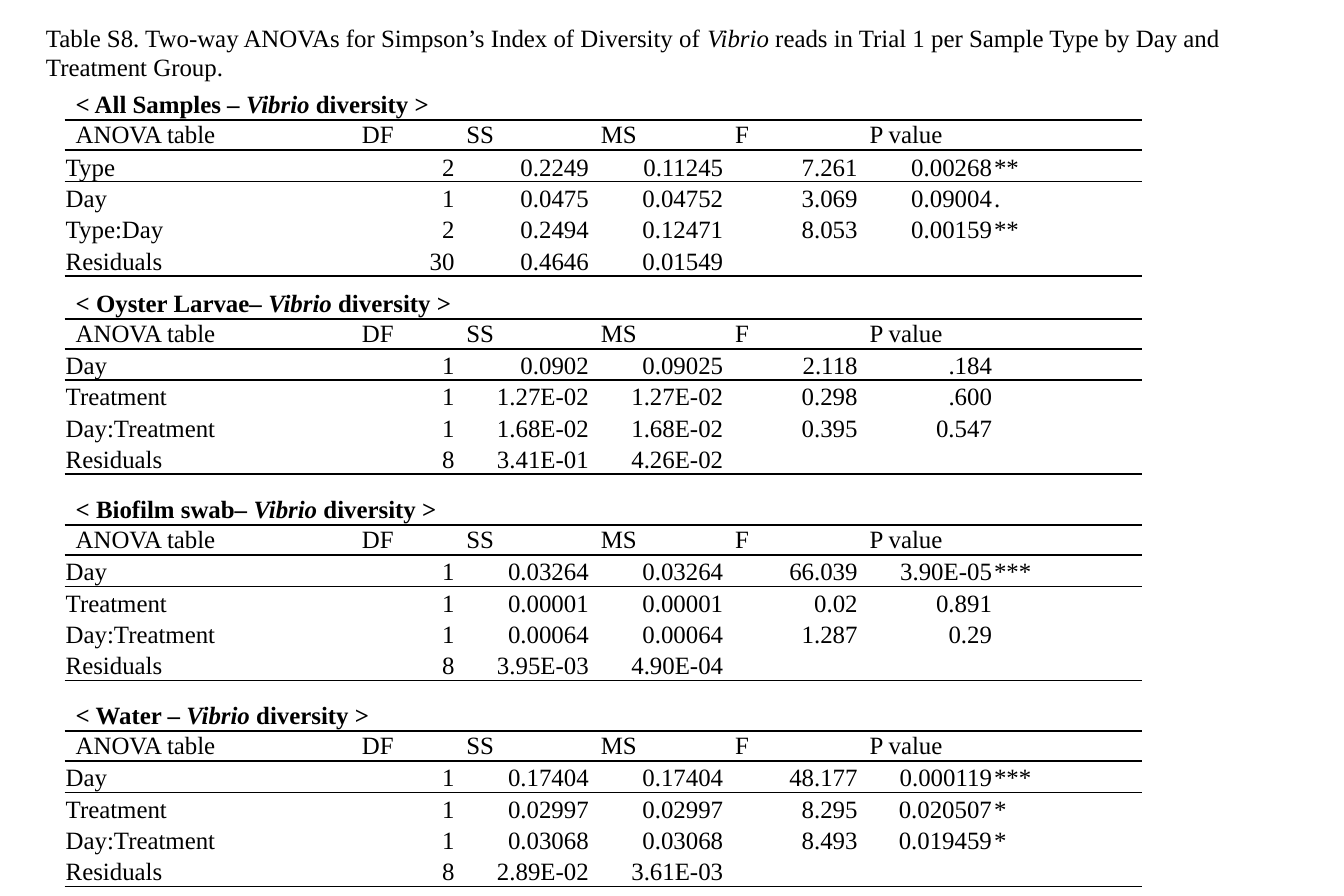
from lxml import etree
from pptx import Presentation
from pptx.dml.color import RGBColor
from pptx.enum.text import MSO_ANCHOR, MSO_AUTO_SIZE, PP_ALIGN
from pptx.oxml.ns import qn
from pptx.util import Pt

MIDDLE, BOTTOM = MSO_ANCHOR.MIDDLE, MSO_ANCHOR.BOTTOM
LEFT, RIGHT = PP_ALIGN.LEFT, PP_ALIGN.RIGHT
FIT_SHAPE = MSO_AUTO_SIZE.SHAPE_TO_FIT_TEXT

COLORS = {"ink": "000000"}
PLAIN_TABLE_STYLE = "{2D5ABB26-0587-4C30-8999-92F81FD0307C}"
TABLE_LEFT = 31.2
COLUMN_WIDTHS = [138, 50.4, 64.8, 64.8, 64.8, 64.8, 72]
ROW_HEIGHTS = [14.4] * 2 + [15.12] * 4
HEADINGS = ["ANOVA table", "DF", "SS", "MS", "F", "P value", ""]
LABEL_FORMAT = {"vertical_anchor": MIDDLE, "margin_left": Pt(5.3),
                "margin_right": Pt(5.3), "margin_top": 0, "margin_bottom": 0}
VALUE_FORMAT = {"vertical_anchor": BOTTOM, "margin_left": Pt(0.5),
                "margin_right": Pt(0.5), "margin_top": Pt(0.5), "margin_bottom": 0}

CAPTION = [
    ("Table S8. Two-way ANOVAs for Simpson’s Index of Diversity of ", {}),
    ("Vibrio", {"italic": True}),
    (" reads in Trial 1 per Sample Type by Day and Treatment Group.", {}),
]

# Top edge, sample type, result rows
ANOVAS = [
    (43.6, "All Samples – ", [
        ["Type", "2", "0.2249", "0.11245", "7.261", "0.00268", "**"],
        ["Day", "1", "0.0475", "0.04752", "3.069", "0.09004", "."],
        ["Type:Day", "2", "0.2494", "0.12471", "8.053", "0.00159", "**"],
        ["Residuals", "30", "0.4646", "0.01549", "", "", ""],
    ]),
    (139.3, "Oyster Larvae– ", [
        ["Day", "1", "0.0902", "0.09025", "2.118", ".184", ""],
        ["Treatment", "1", "1.27E-02", "1.27E-02", "0.298", ".600", ""],
        ["Day:Treatment", "1", "1.68E-02", "1.68E-02", "0.395", "0.547", ""],
        ["Residuals", "8", "3.41E-01", "4.26E-02", "", "", ""],
    ]),
    (238.8, "Biofilm swab– ", [
        ["Day", "1", "0.03264", "0.03264", "66.039", "3.90E-05", "***"],
        ["Treatment", "1", "0.00001", "0.00001", "0.02", "0.891", ""],
        ["Day:Treatment", "1", "0.00064", "0.00064", "1.287", "0.29", ""],
        ["Residuals", "8", "3.95E-03", "4.90E-04", "", "", ""],
    ]),
    (338.1, "Water – ", [
        ["Day", "1", "0.17404", "0.17404", "48.177", "0.000119", "***"],
        ["Treatment", "1", "0.02997", "0.02997", "8.295", "0.020507", "*"],
        ["Day:Treatment", "1", "0.03068", "0.03068", "8.493", "0.019459", "*"],
        ["Residuals", "8", "2.89E-02", "3.61E-03", "", "", ""],
    ]),
]


def set_values(target, values):
    for name, value in values.items():
        setattr(target, name, value)


class AnovaPage:
    def __init__(self, page, font="Times New Roman", size=12, rule_width=1):
        self.page = page
        self.font = font
        self.size = size
        self.rule_width = rule_width

    def add_spans(self, para, spans, align=LEFT):
        para.alignment = align
        for text, values in spans:
            span = para.add_run()
            span.text = text
            set_values(span.font, {"name": self.font, "size": Pt(self.size), **values})
            span.font.color.rgb = RGBColor.from_string(COLORS["ink"])
        if not spans:
            # An empty cell keeps the row height of its neighbours
            etree.SubElement(para._p, qn("a:endParaRPr"), sz=str(self.size * 100))

    def caption(self, left, top, width, height, spans):
        box = self.page.shapes.add_textbox(Pt(left), Pt(top), Pt(width), Pt(height))
        set_values(box.text_frame, {"word_wrap": True, "auto_size": FIT_SHAPE})
        self.add_spans(box.text_frame.paragraphs[0], spans)

    def rule(self, cell, side):
        line = etree.SubElement(cell._tc.get_or_add_tcPr(), qn("a:" + side),
                                w=str(Pt(self.rule_width)))
        fill = etree.SubElement(line, qn("a:solidFill"))
        etree.SubElement(fill, qn("a:srgbClr"), val=COLORS["ink"])

    def cell(self, cell, spans, align, values, sides):
        set_values(cell, values)
        self.add_spans(cell.text_frame.paragraphs[0], spans, align)
        for side in sides:
            self.rule(cell, side)
        cell.fill.background()

    def table(self, top, sample, results):
        title = [("< " + sample, {"bold": True}),
                 ("Vibrio", {"bold": True, "italic": True}),
                 (" diversity >", {"bold": True})]
        rows = [[""] * len(HEADINGS), HEADINGS, *results]
        frame = self.page.shapes.add_table(
            len(rows), len(HEADINGS), Pt(TABLE_LEFT), Pt(top),
            Pt(sum(COLUMN_WIDTHS)), Pt(sum(ROW_HEIGHTS)))
        table = frame.table
        set_values(table, {"first_row": False, "horz_banding": False})
        table._tbl.tblPr.find(qn("a:tableStyleId")).text = PLAIN_TABLE_STYLE
        for column, width in zip(table.columns, COLUMN_WIDTHS):
            column.width = Pt(width)
        for row, height in zip(table.rows, ROW_HEIGHTS):
            row.height = Pt(height)
        table.cell(0, 0).merge(table.cell(0, len(HEADINGS) - 2))

        # Rules lie under the title, under the headings and under the last row
        ruled = {0, 1, len(rows) - 1}
        for r, texts in enumerate(rows):
            sides = [side for side, edge in (("lnT", r - 1), ("lnB", r)) if edge in ruled]
            for c, text in enumerate(texts):
                spans = [(text, {})] if text else []
                if r == c == 0:
                    spans = title
                is_number = r > 1 and 0 < c < len(HEADINGS) - 1
                self.cell(table.cell(r, c), spans, RIGHT if is_number else LEFT,
                          VALUE_FORMAT if r > 1 else LABEL_FORMAT, sides)


def main():
    deck = Presentation()
    set_values(deck, {"slide_width": Pt(648), "slide_height": Pt(432)})
    anova_page = AnovaPage(deck.slides.add_slide(deck.slide_layouts[6]))

    # Caption
    anova_page.caption(15.1, 7.2, 617, 36, CAPTION)

    # One table per sample type
    for top, sample, results in ANOVAS:
        anova_page.table(top, sample, results)

    deck.save("out.pptx")


if __name__ == "__main__":
    main()
